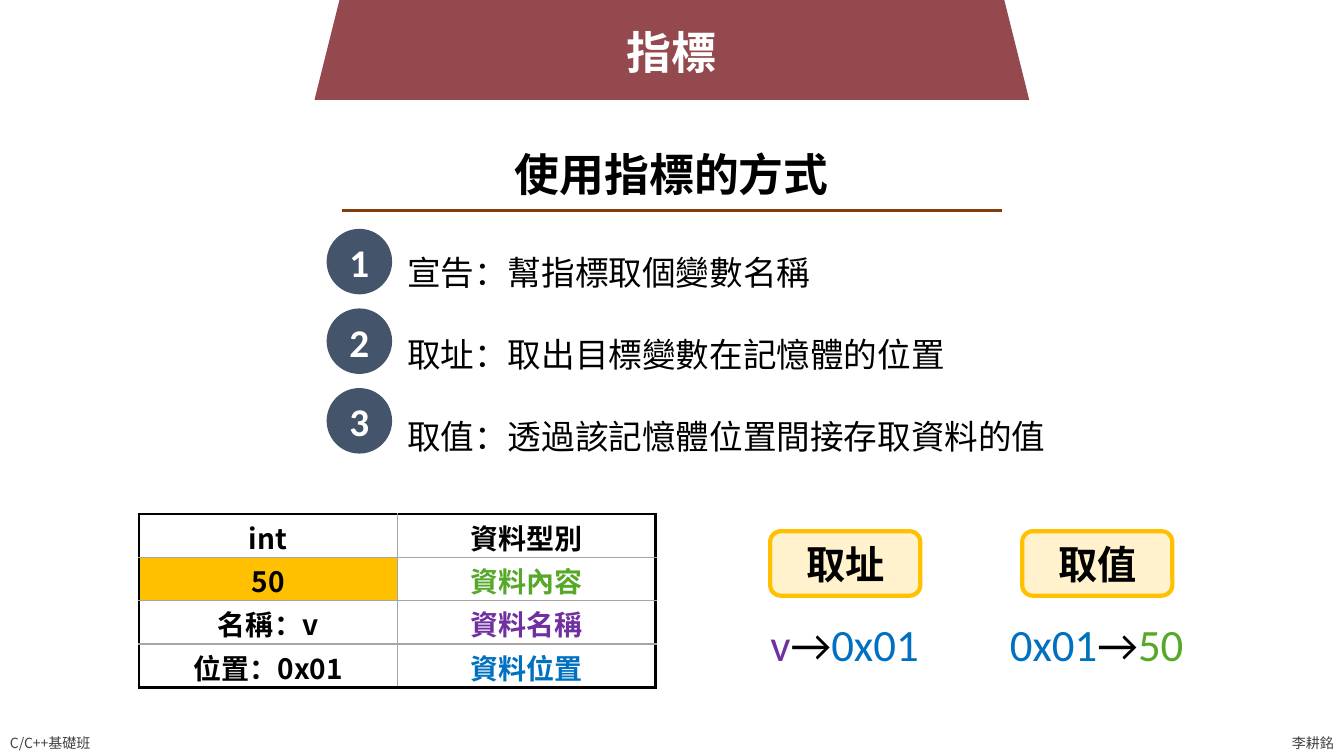
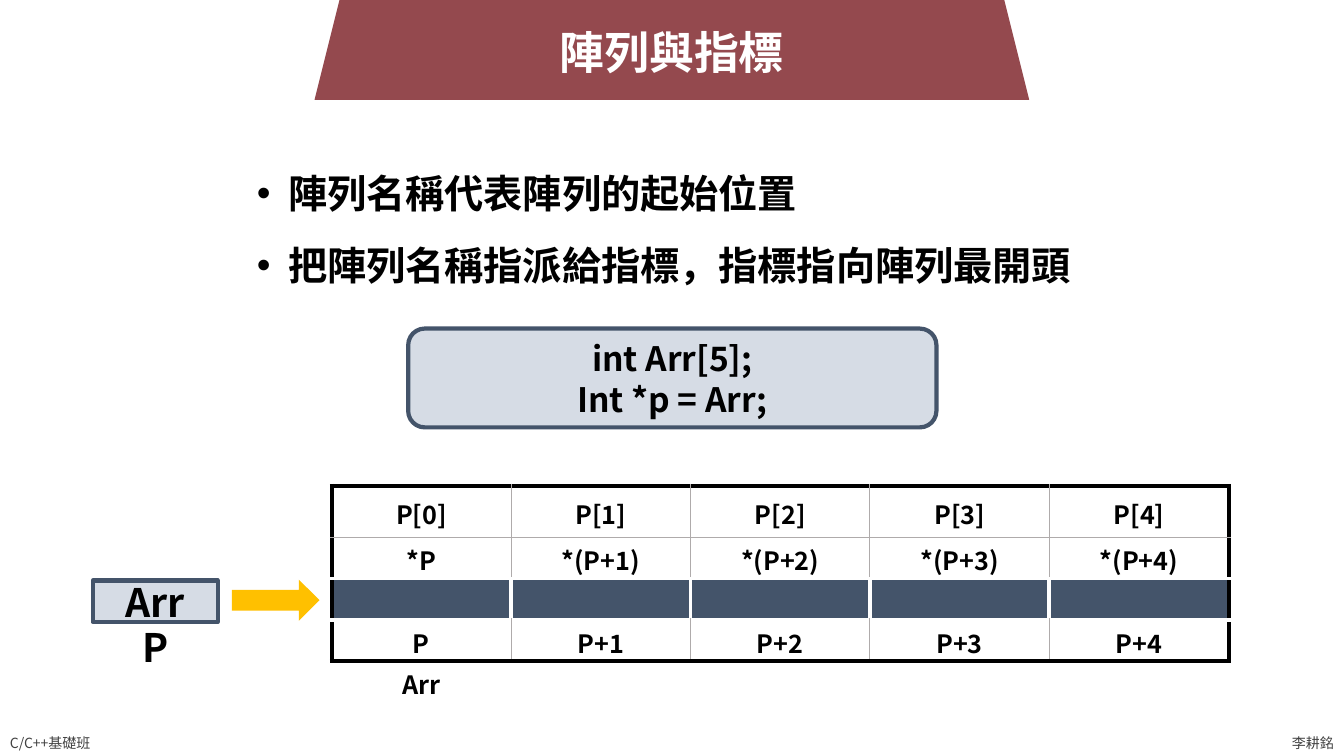
from dataclasses import dataclass

from lxml import etree
from pptx import Presentation
from pptx import util as u
from pptx.dml.color import RGBColor
from pptx.enum import shapes, text
from pptx.oxml.ns import qn

PX = 9144  # EMU per px, 100 px to the inch
SHAPE = shapes.MSO_SHAPE
CENTER, LEFT, RIGHT = text.PP_ALIGN.CENTER, text.PP_ALIGN.LEFT, text.PP_ALIGN.RIGHT
MIDDLE, TOP = text.MSO_ANCHOR.MIDDLE, text.MSO_ANCHOR.TOP


@dataclass(frozen=True)
class Theme:
    cjk: str = "Noto Sans CJK TC"
    latin: str = "Calibri"
    line_height: float = 1.22
    # Type sizes
    title: int = 32
    label: int = 28
    body: int = 24
    cell: int = 20
    small_cell: int = 18
    footer: int = 10
    # Colours
    black: str = "000000"
    white: str = "FFFFFF"
    gray: str = "404040"
    band: str = "94494E"
    rule: str = "843C0B"
    navy: str = "44546A"
    mist: str = "D6DCE5"
    amber: str = "FFC000"
    cream: str = "FFF2CC"
    green: str = "56A828"
    purple: str = "7030A0"
    blue: str = "0070C0"


T = Theme()


def px(*lengths):
    return [u.Emu(length * PX) for length in lengths]


def rgb(value):
    return RGBColor.from_string(value)


# ---- Text ----

def fmt(size, color=T.black, bold=False, name=T.cjk):
    return {"size": u.Pt(size), "bold": bold, "name": name, "color": color}


def style_font(font, values):
    for key, value in values.items():
        if key == "color":
            font.color.rgb = rgb(value)
        else:
            setattr(font, key, value)


def add_run(paragraph, words, values):
    run = paragraph.add_run()
    run.text = words
    style_font(run.font, values)
    east_asian = etree.Element(qn("a:ea"), typeface=T.cjk)
    run.font._element.find(qn("a:latin")).addnext(east_asian)


def add_bullet(paragraph, indent):
    props = paragraph._p.get_or_add_pPr()
    props.set("marL", str(indent * PX))
    props.set("indent", str(-indent * PX))
    etree.SubElement(props, qn("a:buFont"), typeface="Arial")
    etree.SubElement(props, qn("a:buChar"), char="•")


def write(frame, lines, values, align=CENTER, spacing=1, bullet_indent=0):
    """Each line is a string or a list of (words, colour) pairs."""
    for index, line in enumerate(lines):
        paragraph = frame.add_paragraph() if index else frame.paragraphs[0]
        if bullet_indent:
            add_bullet(paragraph, bullet_indent)
        paragraph.alignment = align
        paragraph.line_spacing = u.Pt(
            round(values["size"].pt * T.line_height * spacing, 1))
        parts = [(line, values["color"])] if isinstance(line, str) else line
        for words, color in parts:
            add_run(paragraph, words, {**values, "color": color})


def add_text(slide, at, lines, values, anchor=MIDDLE, wrap=True, **layout):
    frame = slide.shapes.add_textbox(*px(*at)).text_frame
    frame.word_wrap = wrap
    frame.vertical_anchor = anchor
    write(frame, lines, values, **layout)


# ---- Shapes and lines ----

def add_block(slide, kind, at, fill, outline=None, lines=(), values=None):
    block = slide.shapes.add_shape(kind, *px(*at))
    block.shadow.inherit = False
    block.fill.solid()
    block.fill.fore_color.rgb = rgb(fill)
    if outline:
        block.line.color.rgb = rgb(outline)
        block.line.width = u.Pt(3)
    else:
        block.line.fill.background()
    block.text_frame.vertical_anchor = MIDDLE
    write(block.text_frame, lines, values)


def add_rule(slide, left, right, y):
    rule = slide.shapes.add_connector(
        shapes.MSO_CONNECTOR.STRAIGHT, *px(left, y, right, y))
    rule.line.color.rgb = rgb(T.rule)
    rule.line.width = u.Pt(2.25)
    etree.SubElement(rule._element.spPr, qn("a:effectLst"))


# ---- Tables ----

def set_border(cell, side, border):
    props = cell._tc.get_or_add_tcPr()
    if border is None:
        line = etree.SubElement(props, qn(f"a:ln{side}"))
        etree.SubElement(line, qn("a:noFill"))
        return
    color, width = border
    line = etree.SubElement(props, qn(f"a:ln{side}"), w=str(u.Pt(width)))
    fill = etree.SubElement(line, qn("a:solidFill"))
    etree.SubElement(fill, qn("a:srgbClr"), val=color)


def cell_borders(row, col, cols, framed, band, frame, inner):
    """Frame outside the framed rows, white lines round the band row."""
    gap = (T.white, 3)
    across = gap if row == band else inner
    edges = {"L": frame if col == 0 else across,
             "R": frame if col == cols - 1 else across}
    if row >= framed:
        edges = {"L": None, "R": None}
    for side, line in (("T", row), ("B", row + 1)):
        if line in (0, framed):
            edges[side] = frame
        elif line > framed:
            edges[side] = None
        else:
            edges[side] = gap if band in (line - 1, line) else inner
    return edges


def add_grid(slide, left, top, col_width, heights, rows, size, frame, inner,
             framed, band=None, fills=None, colors=None):
    fills, colors = fills or {}, colors or {}
    cols = len(rows[0])
    table = slide.shapes.add_table(
        len(rows), cols,
        *px(left, top, col_width * cols, sum(heights))).table
    table.first_row = table.horz_banding = False
    for column in table.columns:
        column.width = u.Emu(col_width * PX)
    for r, (height, row) in enumerate(zip(heights, rows)):
        table.rows[r].height = u.Emu(height * PX)
        for c, words in enumerate(row):
            cell = table.cell(r, c)
            cell.margin_top, cell.margin_bottom = px(9, 0)
            cell.vertical_anchor = MIDDLE
            edges = cell_borders(r, c, cols, framed, band, frame, inner)
            for side, border in edges.items():
                set_border(cell, side, border)
            cell.fill.solid()
            cell.fill.fore_color.rgb = rgb(fills.get((r, c), T.white))
            if words:
                write(cell.text_frame, [words],
                      fmt(size, colors.get((r, c), T.black), True))


# ---- Slides ----

def add_page(deck, title):
    slide = deck.slides.add_slide(deck.slide_layouts[6])
    footer = fmt(T.footer, T.gray)
    add_text(slide, (0, 723, 107, 27), ["C/C++基礎班"], footer,
             wrap=False, align=LEFT)
    add_text(slide, (1233, 723, 100, 27), ["李耕銘"], footer, align=RIGHT)
    add_block(slide, SHAPE.TRAPEZOID, (312, -23, 709, 122), T.band)
    add_text(slide, (312, 19, 709, 64), [title],
             fmt(T.title, T.white, True))
    return slide


def pointer_slide(deck):
    slide = add_page(deck, "指標")
    add_text(slide, (339, 140, 655, 64), ["使用指標的方式"],
             fmt(T.title, bold=True))
    add_rule(slide, 339, 994, 209)

    # Numbered steps
    steps = ["宣告：幫指標取個變數名稱",
             "取址：取出目標變數在記憶體的位置",
             "取值：透過該記憶體位置間接存取資料的值"]
    add_text(slide, (394, 204, 680, 240), steps, fmt(T.body),
             anchor=TOP, align=LEFT, spacing=2)
    for index in range(len(steps)):
        add_block(slide, SHAPE.OVAL, (324, 227 + 79 * index, 65, 65), T.navy,
                  lines=[str(index + 1)],
                  values=fmt(T.label, T.white, True, T.latin))

    # Memory cell
    add_grid(slide, 138, 510, 256, [43] * 4,
             [["int", "資料型別"], ["50", "資料內容"],
              ["名稱：v", "資料名稱"], ["位置：0x01", "資料位置"]],
             T.cell, frame=(T.black, 2.25), inner=("A5A5A5", 1), framed=4,
             fills={(1, 0): T.amber},
             colors={(1, 1): T.green, (2, 1): T.purple, (3, 1): T.blue})

    # Operations
    arrow, address = ("→", T.black), ("0x01", T.blue)
    operations = [("取址", 764, 838, [("v", T.purple), arrow, address]),
                  ("取值", 1014, 1088, [address, arrow, ("50", T.green)])]
    for name, left, center, result in operations:
        add_block(slide, SHAPE.ROUNDED_RECTANGLE, (left, 527, 149, 64),
                  T.cream, T.amber, [name], fmt(T.label, bold=True))
        add_text(slide, (center - 100, 606, 200, 64), [result],
                 fmt(T.title, name=T.latin))


def array_slide(deck):
    slide = add_page(deck, "陣列與指標")
    label = fmt(T.label, bold=True)
    add_text(slide, (245, 139, 844, 151),
             ["陣列名稱代表陣列的起始位置",
              "把陣列名稱指派給指標，指標指向陣列最開頭"],
             label, anchor=TOP, align=LEFT, spacing=1.5, bullet_indent=31)
    add_block(slide, SHAPE.ROUNDED_RECTANGLE, (405, 326, 524, 98),
              T.mist, T.navy, ["int Arr[5];", "Int *p = Arr;"],
              fmt(T.body, bold=True))

    # Start of the array
    add_block(slide, SHAPE.RECTANGLE, (92, 576, 124, 41), T.mist, T.navy,
              ["Arr"], label)
    add_text(slide, (92, 613, 124, 57), ["P"], label)
    add_block(slide, SHAPE.RIGHT_ARROW, (230, 575, 87, 41), T.amber)

    # Array elements
    size = 5
    rest = range(1, size)
    add_grid(slide, 329, 482, 178, [51] + [41] * 4,
             [[f"P[{i}]" for i in range(size)],
              ["*P"] + [f"*(P+{i})" for i in rest],
              [""] * size,
              ["P"] + [f"P+{i}" for i in rest],
              ["Arr"] + [""] * (size - 1)],
             T.small_cell, frame=(T.black, 3), inner=("AFABAB", 0.75),
             framed=4, band=2, fills={(2, i): T.navy for i in range(size)})


def main():
    deck = Presentation()
    deck.slide_width, deck.slide_height = u.Inches(13.333), u.Inches(7.5)
    pointer_slide(deck)
    array_slide(deck)
    deck.save("out.pptx")


if __name__ == "__main__":
    main()
